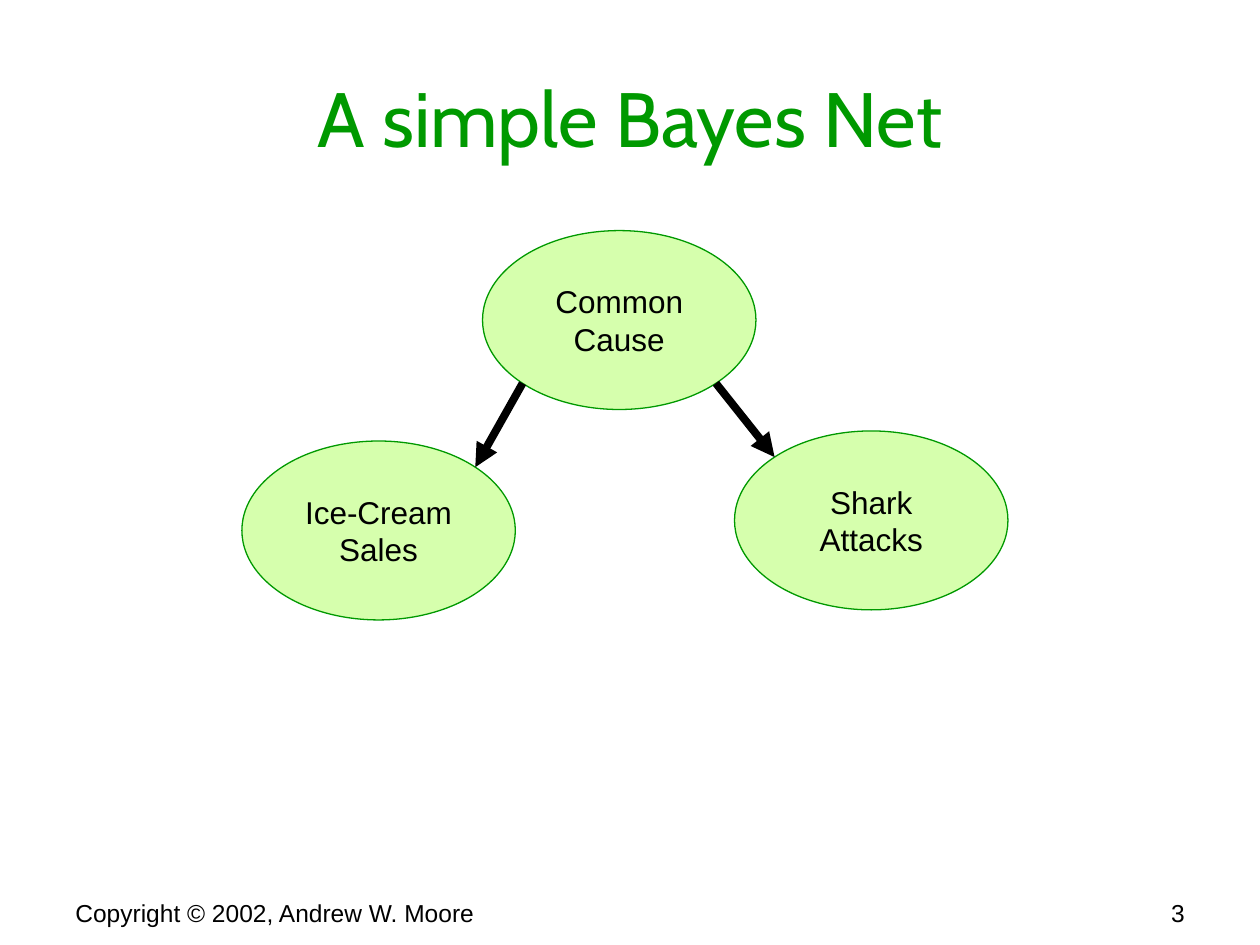
from dataclasses import dataclass
from math import cos, pi, sin

from lxml.etree import SubElement
from pptx import Presentation
from pptx.dml.color import RGBColor
from pptx.enum.shapes import MSO_CONNECTOR, MSO_SHAPE
from pptx.enum.text import MSO_ANCHOR, PP_ALIGN
from pptx.oxml.ns import qn
from pptx.util import Inches, Pt


@dataclass(frozen=True)
class Theme:
    heading_font: str = "Cabin"
    body_font: str = "Arial"
    green: str = "009900"
    lime: str = "99FF33"
    black: str = "000000"
    background: str = "FFFFFF"
    title_size: int = 44
    node_size: int = 18
    footer_size: int = 14
    outline: float = 0.75
    arrow: float = 4.5
    node_opacity: int = 40


def rgb(value):
    return RGBColor.from_string(value)


def write_text(frame, text, *, font, size, color, align=PP_ALIGN.LEFT,
               anchor=MSO_ANCHOR.TOP, wrap=True):
    frame.word_wrap = wrap
    frame.vertical_anchor = anchor
    frame.margin_left = frame.margin_right = Inches(0.1)
    frame.margin_top = frame.margin_bottom = Inches(0.05)
    frame.text = text
    for paragraph in frame.paragraphs:
        paragraph.alignment = align
        for run in paragraph.runs:
            run.font.name = font
            run.font.size = Pt(size)
            run.font.color.rgb = rgb(color)


def rim_point(node, degrees):
    angle = degrees * pi / 180
    x = node.left + node.width / 2 * (1 + cos(angle))
    y = node.top + node.height / 2 * (1 + sin(angle))
    return round(x), round(y)


class BayesNetSlide:
    def __init__(self, slide, theme):
        self.slide = slide
        self.theme = theme
        fill = slide.background.fill
        fill.solid()
        fill.fore_color.rgb = rgb(theme.background)

    def title(self, text, left, top, width, height):
        heading = self.slide.shapes.title
        heading.left, heading.top = Inches(left), Inches(top)
        heading.width, heading.height = Inches(width), Inches(height)
        write_text(heading.text_frame, text, font=self.theme.heading_font,
                   size=self.theme.title_size, color=self.theme.green,
                   align=PP_ALIGN.CENTER, anchor=MSO_ANCHOR.MIDDLE)

    def node(self, text, left, top, width=2.17, height=1.42):
        oval = self.slide.shapes.add_shape(
            MSO_SHAPE.OVAL, Inches(left), Inches(top), Inches(width), Inches(height))
        oval.shadow.inherit = False
        oval.fill.solid()
        oval.fill.fore_color.rgb = rgb(self.theme.lime)
        color = oval.fill._xPr.find(qn("a:solidFill")).find(qn("a:srgbClr"))
        SubElement(color, qn("a:alpha"), val=str(self.theme.node_opacity * 1000))
        oval.line.color.rgb = rgb(self.theme.green)
        oval.line.width = Pt(self.theme.outline)
        write_text(oval.text_frame, text, font=self.theme.body_font,
                   size=self.theme.node_size, color=self.theme.black,
                   align=PP_ALIGN.CENTER, anchor=MSO_ANCHOR.MIDDLE, wrap=False)
        return oval

    def arrow(self, cause, effect):
        leaving = 45 if effect.left > cause.left else 135
        edge = self.slide.shapes.add_connector(
            MSO_CONNECTOR.STRAIGHT,
            *rim_point(cause, leaving), *rim_point(effect, leaving + 180))
        edge.line.color.rgb = rgb(self.theme.black)
        edge.line.width = Pt(self.theme.arrow)
        SubElement(edge.line._get_or_add_ln(), qn("a:tailEnd"), type="triangle")
        SubElement(edge._element.spPr, qn("a:effectLst"))

    def footer(self, text, left, width, align):
        note = self.slide.shapes.add_textbox(
            Inches(left), Inches(7.08), Inches(width), Inches(0.27))
        write_text(note.text_frame, text, font=self.theme.body_font,
                   size=self.theme.footer_size, color=self.theme.black, align=align)


def main():
    deck = Presentation()
    deck.slide_width, deck.slide_height = Inches(10), Inches(7.5)
    page = BayesNetSlide(deck.slides.add_slide(deck.slide_layouts[5]), Theme())

    page.title("A simple Bayes Net", 0.5, 0.3, 9, 1.25)
    common_cause = page.node("Common\nCause", 3.83, 1.83)
    shark_attacks = page.node("Shark\nAttacks", 5.83, 3.42)
    ice_cream_sales = page.node("Ice-Cream\nSales", 1.92, 3.5)
    for effect in (shark_attacks, ice_cream_sales):
        page.arrow(common_cause, effect)
    page.footer("Copyright © 2002, Andrew W. Moore", 0.5, 4.17, PP_ALIGN.LEFT)
    page.footer("3", 5.25, 4.25, PP_ALIGN.RIGHT)

    deck.save("out.pptx")


if __name__ == "__main__":
    main()
